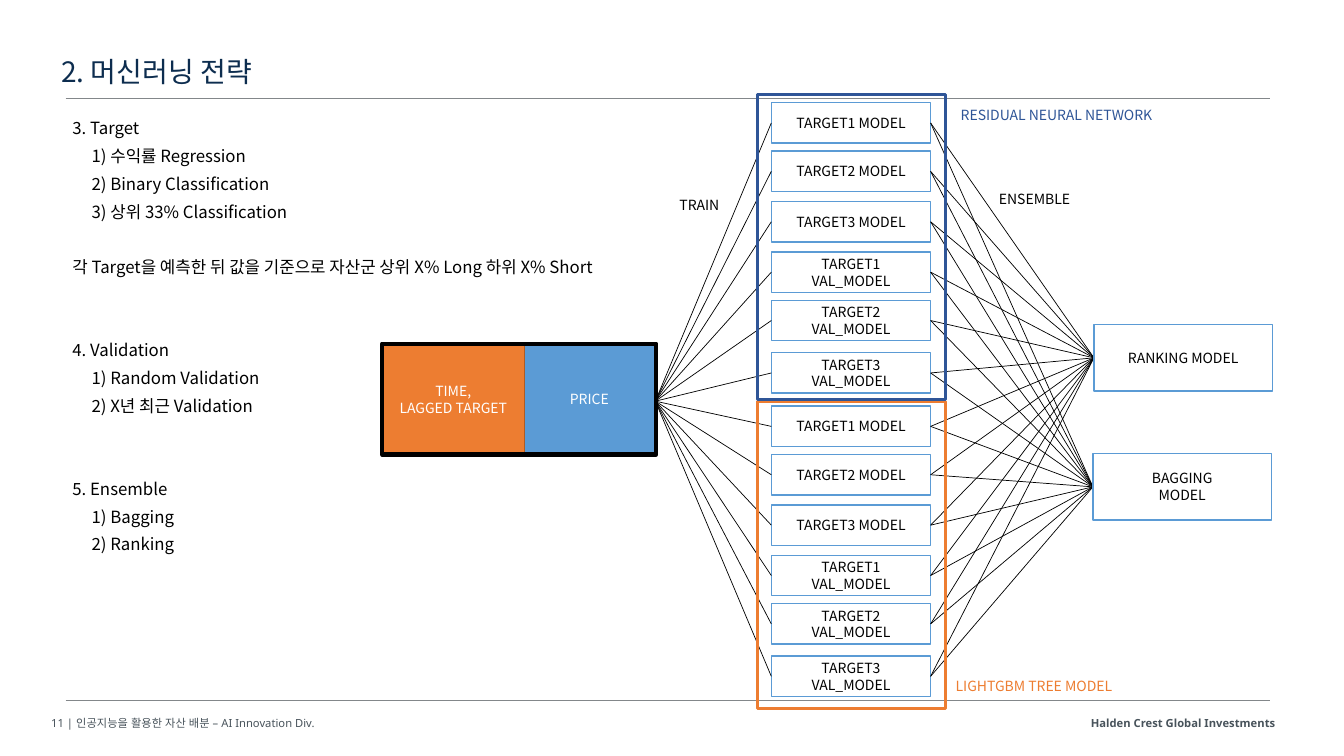
from pptx import Presentation
from pptx.util import Inches, Pt
from pptx.dml.color import RGBColor
from pptx.enum.shapes import MSO_CONNECTOR as Connector, MSO_SHAPE as Shape
from pptx.enum.text import MSO_ANCHOR as Anchor, PP_ALIGN as Align
from pptx.oxml.ns import qn
from lxml.etree import SubElement

BLACK, WHITE, GRAY = "000000", "FFFFFF", "48535B"
BLUE, NAVY, ORANGE = "5B9BD5", "2F5597", "ED7D31"


def color(value):
    return RGBColor.from_string(value)


class Painter:
    font = "Noto Sans CJK KR"
    footer_font = "Noto Sans"

    def __init__(self, page):
        self.page = page

    def style(self, frame, size, ink, font=None, align=Align.LEFT, bold=False):
        for para in frame.paragraphs:
            para.alignment = align
            for span in para.runs:
                span.font.size = Pt(size)
                span.font.bold = bold
                span.font.color.rgb = color(ink)
                span.font.name = font or self.font
                east = SubElement(span.font._element, qn("a:ea"))
                east.set("typeface", font or self.font)

    def text(self, place, words, size, ink, wrap=True, **look):
        frame = self.page.shapes.add_textbox(*map(Inches, place)).text_frame
        frame.word_wrap = wrap
        frame.text = words
        self.style(frame, size, ink, **look)
        return frame

    def box(self, place, words="", fill=None, line=BLUE, weight=1, ink=BLACK):
        box = self.page.shapes.add_shape(Shape.RECTANGLE, *map(Inches, place))
        box.shadow.inherit = False
        if fill:
            box.fill.solid()
            box.fill.fore_color.rgb = color(fill)
        else:
            box.fill.background()
        box.line.color.rgb = color(line)
        box.line.width = Pt(weight)
        if words:
            frame = box.text_frame
            frame.text = words
            frame.word_wrap = True
            frame.vertical_anchor = Anchor.MIDDLE
            self.style(frame, 10, ink, align=Align.CENTER)

    def line(self, start, end, ink=BLACK):
        line = self.page.shapes.add_connector(
            Connector.STRAIGHT, *map(Inches, (*start, *end)))
        line.line.color.rgb = color(ink)
        line.line.width = Pt(0.5)
        SubElement(line._element.spPr, qn("a:effectLst"))

    def outline(self, place, items):
        words = "\n".join(item for item, _, _ in items)
        frame = self.text(place, words, 12, BLACK)
        for para, (_, level, skipped) in zip(frame.paragraphs, items):
            para.line_spacing = Pt(13.2)
            para.space_before = Pt(6.6 + 19.8 * skipped)
            indent = Inches(0.19 * level)
            para._p.get_or_add_pPr().set("marL", str(indent))


deck = Presentation()
deck.slide_width, deck.slide_height = Inches(13.33), Inches(7.5)
painter = Painter(deck.slides.add_slide(deck.slide_layouts[6]))

painter.text((8.76, 7.06, 3.99, 0.3), "Halden Crest Global Investments", 8, GRAY,
             font=painter.footer_font, align=Align.RIGHT, bold=True)
painter.text((0.41, 7.06, 4.97, 0.3), "11 | 인공지능을 활용한 자산 배분 – AI Innovation Div.",
             8, GRAY, font=painter.footer_font)
for rule_y in (6.95, 0.98):
    painter.line((0.65, rule_y), (12.6, rule_y), "83878A")

title = painter.text((0.51, 0.58, 8.48, 0.45), "2. 머신러닝 전략", 20, "0D2D4F")
title.margin_top = 0
title.paragraphs[0].line_spacing = 0.9

painter.outline((0.62, 1.14, 12, 5.76), [
    ("3. Target", 0, 0),
    ("1) 수익률 Regression", 1, 0),
    ("2) Binary Classification", 1, 0),
    ("3) 상위 33% Classification", 1, 0),
    ("각 Target을 예측한 뒤 값을 기준으로 자산군 상위 X% Long 하위 X% Short", 0, 1),
    ("4. Validation", 0, 2),
    ("1) Random Validation", 1, 0),
    ("2) X년 최근 Validation", 1, 0),
    ("5. Ensemble", 0, 2),
    ("1) Bagging", 1, 0),
    ("2) Ranking", 1, 0),
])

input_port = (6.5, 3.98)
ensemble_ports = [(10.85, 3.55), (10.84, 4.83)]
model_x, model_w, model_h = 7.65, 1.58, 0.4
model_names = [f"TARGET{number} {kind}" for kind in ("MODEL", "VAL_MODEL")
               for number in (1, 2, 3)]
model_tops = (1.02, 1.5, 2, 2.5, 2.98, 3.5)

for group_shift in (0, 3.01):
    for name, top in zip(model_names, model_tops):
        model_y = top + group_shift
        middle = model_y + model_h / 2
        painter.box((model_x, model_y, model_w, model_h), name, WHITE)
        painter.line(input_port, (model_x, middle))
        for port in ensemble_ports:
            painter.line((model_x + model_w, middle), port)

for name, (port_x, port_y) in zip(("RANKING MODEL", "BAGGING\nMODEL"), ensemble_ports):
    painter.box((port_x, port_y - 0.33, 1.77, 0.66), name, WHITE)

painter.box((7.51, 3.98, 1.87, 3.05), line=ORANGE, weight=2.25)
painter.box((7.51, 0.94, 1.87, 3.02), line=NAVY, weight=2.25)

for place, label, ink in [
    ((6.64, 1.9, 0.61, 0.27), "TRAIN", BLACK),
    ((9.81, 1.84, 0.94, 0.27), "ENSEMBLE", BLACK),
    ((9.43, 1.01, 2.19, 0.27), "RESIDUAL NEURAL NETWORK", NAVY),
    ((9.38, 6.67, 1.83, 0.27), "LIGHTGBM TREE MODEL", ORANGE),
]:
    painter.text(place, label, 10, ink, wrap=False)

painter.box((5.19, 3.41, 1.31, 1.1), "PRICE", BLUE, "43739E", ink=WHITE)
painter.box((3.79, 3.42, 1.41, 1.09), "TIME,\nLAGGED TARGET", ORANGE, "AF5C24", ink=WHITE)
painter.box((3.79, 3.41, 2.72, 1.1), line=BLACK, weight=3)

deck.save("out.pptx")
